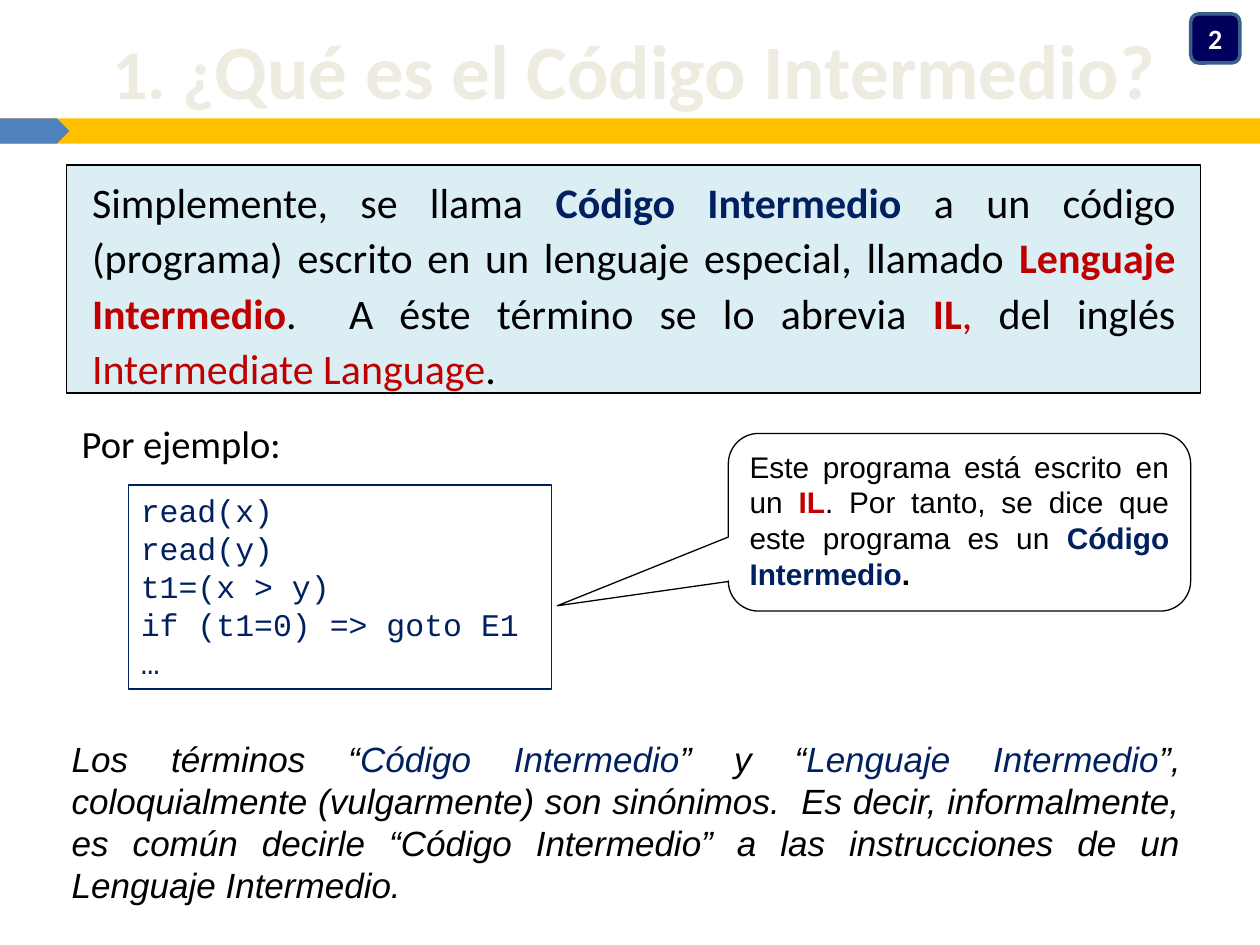
from pptx import Presentation
from pptx.dml.color import RGBColor
from pptx.enum.shapes import MSO_SHAPE
from pptx.enum.text import MSO_ANCHOR, MSO_AUTO_SIZE, PP_ALIGN
from pptx.util import Pt
from lxml import etree

RECT, PLATE = MSO_SHAPE.RECTANGLE, MSO_SHAPE.PENTAGON
ROUND, CALLOUT = MSO_SHAPE.ROUNDED_RECTANGLE, MSO_SHAPE.ROUNDED_RECTANGULAR_CALLOUT
TOP, MIDDLE = MSO_ANCHOR.TOP, MSO_ANCHOR.MIDDLE
LEFT, CENTER, JUSTIFY = PP_ALIGN.LEFT, PP_ALIGN.CENTER, PP_ALIGN.JUSTIFY
BLACK, NAVY, RED, WHITE, CREAM = "000000", "002060", "C00000", "FFFFFF", "EEECE1"
A = "{http://schemas.openxmlformats.org/drawingml/2006/main}"


def add_box(kind, x, y, w, h, fill=None, line=None, weight=0.75):
    sp = s.shapes.add_shape(kind, Pt(x), Pt(y), Pt(w), Pt(h))
    sp.shadow.inherit = False
    if fill:
        sp.fill.solid()
        sp.fill.fore_color.rgb = RGBColor.from_string(fill)
    else:
        sp.fill.background()
    if line:
        sp.line.color.rgb = RGBColor.from_string(line)
        sp.line.width = Pt(weight)
    else:
        sp.line.fill.background()
    return sp


def write(sp, paragraphs, font, size, align=LEFT, anchor=TOP, before=0, spacing=1.0, italic=False):
    """Each paragraph is a list of (text, colour, bold) runs."""
    tf = sp.text_frame
    tf.word_wrap = True
    tf.auto_size = MSO_AUTO_SIZE.NONE
    tf.vertical_anchor = anchor
    for i, runs in enumerate(paragraphs):
        p = tf.add_paragraph() if i else tf.paragraphs[0]
        p.alignment = align
        p.space_before = Pt(before)
        p.line_spacing = spacing
        for text, color, bold in runs:
            r = p.add_run()
            r.text = text
            r.font.name = font
            r.font.size = Pt(size)
            r.font.bold = bold
            r.font.italic = italic
            r.font.color.rgb = RGBColor.from_string(color)
    return tf


prs = Presentation()
prs.slide_width, prs.slide_height = Pt(720), Pt(540)
s = prs.slides.add_slide(prs.slide_layouts[1])
title, body = s.placeholders

# Header band and slide number
add_box(RECT, 0, 67.7, 720, 14.4, "FFC000")
add_box(PLATE, 0, 67.7, 39.6, 14.4, "4F81BD")
number = add_box(ROUND, 680.4, 7.9, 28.1, 28.1, "00005C", "3A5F8C", 2)
write(number, [[("2", WHITE, True)]], "Calibri", 16, CENTER, MIDDLE)

# Title, with a smaller numeral
title.left, title.top, title.width, title.height = Pt(38.6), Pt(12), Pt(648), Pt(54)
tf = write(title, [[("1. ¿", CREAM, True), ("Qué es el Código Intermedio?", CREAM, True)]],
           "Calibri", 44, CENTER, MIDDLE)
tf.paragraphs[0].runs[0].font.size = Pt(40)

# Closing remark
body.left, body.top, body.width, body.height = Pt(33.8), Pt(417.6), Pt(648), Pt(102.2)
tf = write(body, [[
    ("Los términos “", BLACK, False),
    ("Código Intermedio", NAVY, False),
    ("” y “", BLACK, False),
    ("Lenguaje Intermedio", NAVY, False),
    ("”, coloquialmente (vulgarmente) son sinónimos.  Es decir, informalmente, es común "
     "decirle “Código Intermedio” a las instrucciones de un Lenguaje Intermedio.", BLACK, False),
]], "Arial", 20, JUSTIFY, before=4, italic=True)
pPr = tf.paragraphs[0]._p.get_or_add_pPr()
pPr.set("marL", "0")
pPr.set("indent", "0")
etree.SubElement(pPr, A + "buNone")

# Definition
definition = add_box(RECT, 38.2, 94.3, 648, 130.3, "DBEEF4", BLACK)
tf = write(definition, [[
    ("Simplemente, se llama ", BLACK, False),
    ("Código Intermedio", NAVY, True),
    (" a un código (programa) escrito en un lenguaje especial, llamado ", BLACK, False),
    ("Lenguaje Intermedio", RED, True),
    (".  A éste término se lo abrevia ", BLACK, False),
    ("IL", RED, True),
    (", ", RED, False),
    ("del inglés ", BLACK, False),
    ("Intermediate Language", RED, False),
    (".", BLACK, False),
]], "Calibri", 24, JUSTIFY, spacing=1.1)
tf.margin_left = tf.margin_right = Pt(14.4)

# Example program
code = add_box(RECT, 73.4, 277.2, 241.9, 116.6, line=NAVY)
lines = ["read(x)", "read(y)", "t1=(x > y)", "if (t1=0) => goto E1", "…"]
write(code, [[(line, NAVY, False)] for line in lines], "Courier New", 18)

# Callout pointing at the program
callout = add_box(CALLOUT, 416.2, 247.7, 264.2, 101.5, line=BLACK)
for i, value in enumerate((-0.87, 0.47, 0.17)):
    callout.adjustments[i] = value
write(callout, [[
    ("Este programa está escrito en un ", BLACK, False),
    ("IL", RED, True),
    (". Por tanto, se dice que este programa es un ", BLACK, False),
    ("Código Intermedio", NAVY, True),
    (".", BLACK, True),
]], "Arial", 17, JUSTIFY, before=3.4)

# Example label
label = s.shapes.add_textbox(Pt(39.6), Pt(236.2), Pt(185.8), Pt(33.8))
write(label, [[("Por ejemplo:", BLACK, False)]], "Calibri", 22)

prs.save("out.pptx")
